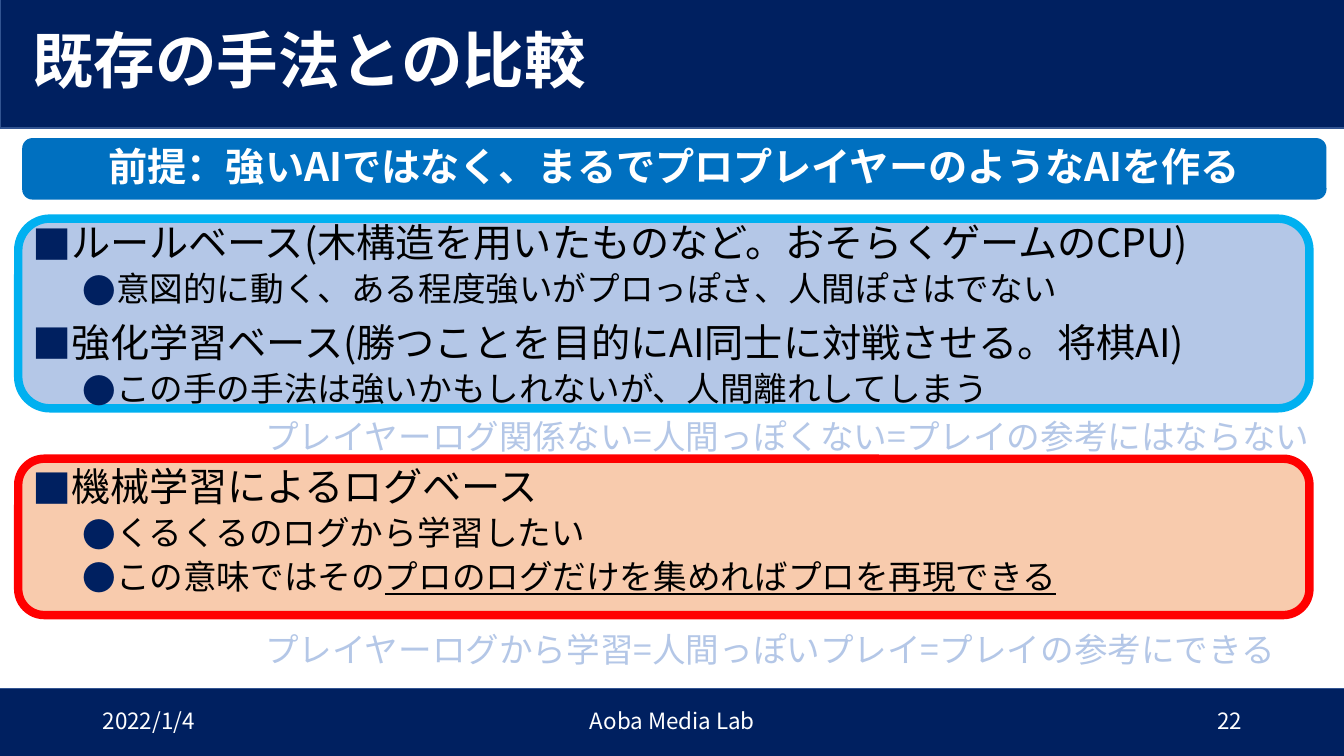
from dataclasses import dataclass

from lxml.etree import SubElement
from pptx import Presentation
from pptx.dml.color import RGBColor
from pptx.enum.shapes import MSO_SHAPE
from pptx.enum.text import MSO_ANCHOR, PP_ALIGN
from pptx.oxml.ns import qn
from pptx.util import Cm, Pt


@dataclass
class Theme:
    font: str = "Noto Sans CJK JP"
    navy: str = "002060"
    edge: str = "325491"
    blue: str = "0070C0"
    sky: str = "00B0F0"
    pale: str = "B4C7E7"
    peach: str = "F8CBAD"
    red: str = "FF0000"
    gray: str = "8497B0"
    white: str = "FFFFFF"
    black: str = "000000"
    title: int = 44
    head: int = 28
    sub: int = 24
    foot: int = 16


theme = Theme()
rgb = RGBColor.from_string
deck = Presentation()
deck.slide_width, deck.slide_height = Cm(33.87), Cm(19.05)
slide = deck.slides.add_slide(deck.slide_layouts[6])


def panel(kind, area, fill, line=None, width=1):
    shape = slide.shapes.add_shape(kind, *map(Cm, area))
    shape.shadow.inherit = False
    shape.fill.solid()
    shape.fill.fore_color.rgb = rgb(fill)
    if line:
        shape.line.color.rgb = rgb(line)
        shape.line.width = Pt(width)
    else:
        shape.line.fill.background()
    return shape


def write(para, text, size, color, bold=False, under=False):
    run = para.add_run()
    run.text = text
    font = run.font
    font.size, font.bold, font.underline = Pt(size), bold, under
    font.color.rgb = rgb(color)
    font.name = theme.font
    SubElement(run._r.rPr, qn("a:ea"), typeface=theme.font)
    return run


# Bands at the foot and the top
for area in ((-0.03, 17.35, 34.01, 1.85), (0, -0.05, 34.01, 3.28)):
    panel(MSO_SHAPE.RECTANGLE, area, theme.navy, theme.edge)

# Premise banner
round_box = MSO_SHAPE.ROUNDED_RECTANGLE
banner = panel(round_box, (0.56, 3.48, 32.87, 1.55), theme.blue)
frame = banner.text_frame
frame.vertical_anchor = MSO_ANCHOR.MIDDLE
para = frame.paragraphs[0]
para.alignment, para.line_spacing = PP_ALIGN.CENTER, 0.9
write(para, "前提：強いAIではなく、まるでプロプレイヤーのようなAIを作る",
      theme.head, theme.white, bold=True)

# Panels behind the two groups of methods
panel(round_box, (0.46, 11.56, 32.54, 3.94), theme.peach, theme.red, 6)
panel(round_box, (0.46, 5.51, 32.54, 4.78), theme.pale, theme.sky, 6)

# Title
box = slide.shapes.add_textbox(Cm(0.56), Cm(0.23), Cm(32.87), Cm(2.72))
frame = box.text_frame
frame.word_wrap, frame.vertical_anchor = True, MSO_ANCHOR.MIDDLE
para = frame.paragraphs[0]
para.line_spacing = 0.9
write(para, "既存の手法との比較", theme.title, theme.white, bold=True)

# Bulleted list: level, space before, plain text, underlined text
items = (
    (0, 10, "ルールベース(木構造を用いたものなど。おそらくゲームのCPU)", ""),
    (1, 5, "意図的に動く、ある程度強いがプロっぽさ、人間ぽさはでない", ""),
    (0, 10, "強化学習ベース(勝つことを目的にAI同士に対戦させる。将棋AI)", ""),
    (1, 5, "この手の手法は強いかもしれないが、人間離れしてしまう", ""),
    (0, 42, "機械学習によるログベース", ""),
    (1, 5, "くるくるのログから学習したい", ""),
    (1, 5, "この意味ではその", "プロのログだけを集めればプロを再現できる"),
)
box = slide.shapes.add_textbox(Cm(0.56), Cm(5.51), Cm(32.87), Cm(11.56))
frame = box.text_frame
frame.word_wrap = True
for i, (level, gap, plain, marked) in enumerate(items):
    para = frame.add_paragraph() if i else frame.paragraphs[0]
    para.level, para.line_spacing, para.space_before = level, 0.9, Pt(gap)
    props = para._p.get_or_add_pPr()
    props.set("marL", str(Cm((0.64, 1.91)[level])))
    props.set("indent", str(-Cm(0.64)))
    tint = SubElement(props, qn("a:buClr"))
    SubElement(tint, qn("a:srgbClr"), val=theme.navy)
    SubElement(props, qn("a:buFont"), typeface=theme.font)
    SubElement(props, qn("a:buChar"), char="■●"[level])
    size = (theme.head, theme.sub)[level]
    write(para, plain, size, theme.black)
    if marked:
        write(para, marked, size, theme.black, under=True)

# Footer
footer = (
    (2.34, 7.62, PP_ALIGN.LEFT, "2022/1/4"),
    (11.23, 11.43, PP_ALIGN.CENTER, "Aoba Media Lab"),
    (23.93, 7.62, PP_ALIGN.RIGHT, "22"),
)
for left, width, align, text in footer:
    box = slide.shapes.add_textbox(Cm(left), Cm(17.65), Cm(width), Cm(1.02))
    frame = box.text_frame
    frame.word_wrap, frame.vertical_anchor = True, MSO_ANCHOR.MIDDLE
    para = frame.paragraphs[0]
    para.alignment = align
    write(para, text, theme.foot, theme.white)

# Outlined remarks under each panel
remarks = (
    (10.36, theme.gray, "プレイヤーログ関係ない=人間っぽくない=プレイの参考にはならない"),
    (15.72, theme.red, "プレイヤーログから学習=人間っぽいプレイ=プレイの参考にできる"),
)
for top, color, text in remarks:
    box = slide.shapes.add_textbox(Cm(6.43), Cm(top), Cm(28.47), Cm(1.27))
    box.text_frame.word_wrap = True
    run = write(box.text_frame.paragraphs[0], text, theme.sub, theme.pale)
    props = run._r.rPr
    line = SubElement(props, qn("a:ln"), w=str(Pt(2.25)))
    fill = SubElement(line, qn("a:solidFill"))
    SubElement(fill, qn("a:srgbClr"), val=color)
    props.insert(0, line)

deck.save("out.pptx")
